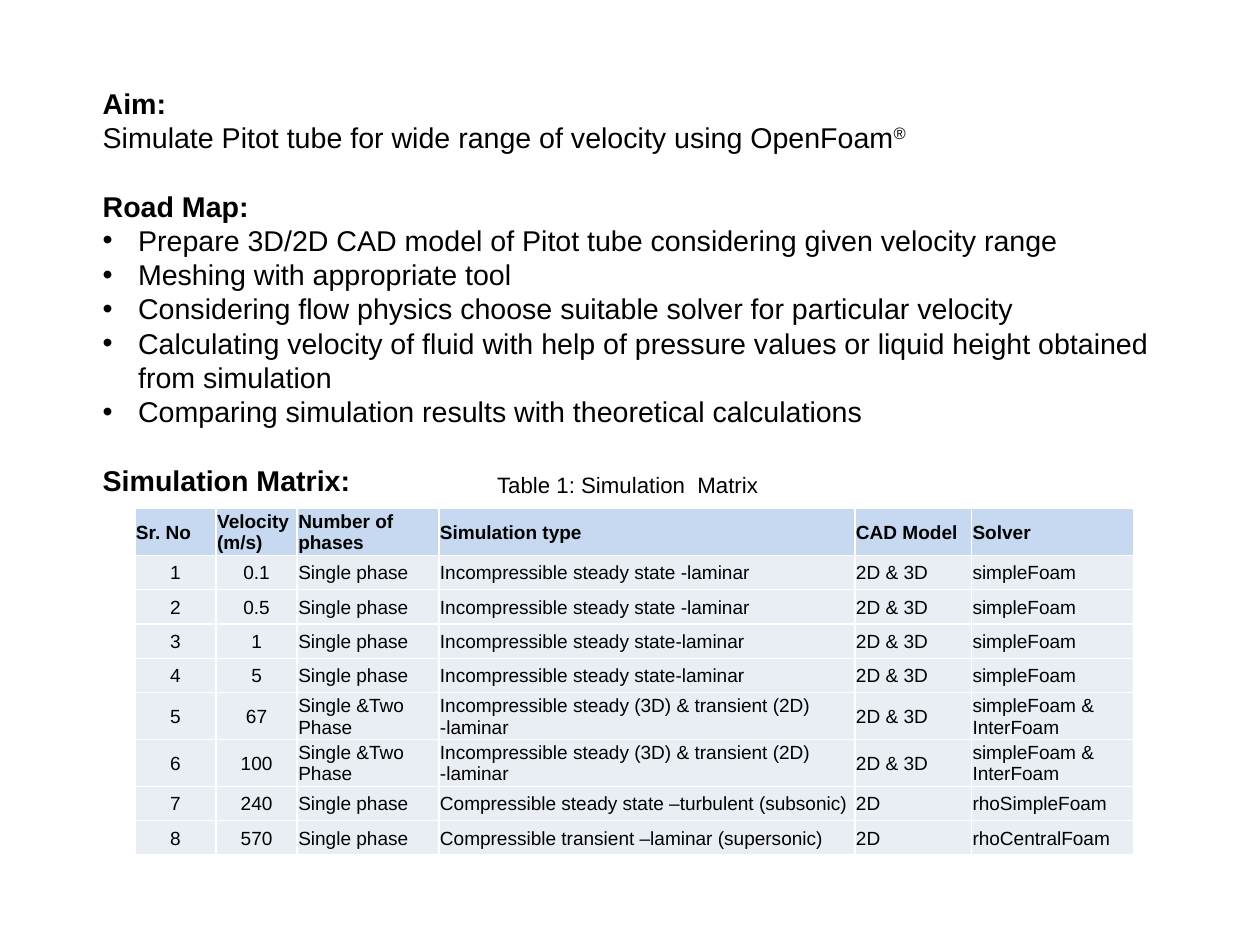
from lxml import etree
from pptx import Presentation
from pptx import oxml
from pptx import util as u
from pptx.dml.color import RGBColor
from pptx.enum import text

BLACK = RGBColor(0x00, 0x00, 0x00)
WHITE = RGBColor(0xFF, 0xFF, 0xFF)
HEADER_BLUE = RGBColor(0xC6, 0xD9, 0xF1)
BODY_GRAY = RGBColor(0xE9, 0xED, 0xF4)

LINE_HEIGHT = u.Pt(21.6)
BULLET_INDENT = u.Inches(0.31)

STEPS = [
    "Prepare 3D/2D CAD model of Pitot tube considering given velocity range",
    "Meshing with appropriate tool",
    "Considering flow physics choose suitable solver for particular velocity",
    "Calculating velocity of fluid with help of pressure values or liquid height obtained from simulation",
    "Comparing simulation results with theoretical calculations",
]

HEADERS = ["Sr. No", "Velocity\n(m/s)", "Number of phases", "Simulation type", "CAD Model", "Solver"]
SINGLE, MIXED = "Single phase", "Single &Two Phase"
BOTH = "2D & 3D"
SPACED_LAMINAR = "Incompressible steady state -laminar"
LAMINAR = "Incompressible steady state-laminar"
TRANSIENT = "Incompressible steady (3D) & transient (2D) -laminar"
SIMPLE, COMBINED = "simpleFoam", "simpleFoam & InterFoam"
SIMULATIONS = [
    ("0.1", SINGLE, SPACED_LAMINAR, BOTH, SIMPLE),
    ("0.5", SINGLE, SPACED_LAMINAR, BOTH, SIMPLE),
    ("1", SINGLE, LAMINAR, BOTH, SIMPLE),
    ("5", SINGLE, LAMINAR, BOTH, SIMPLE),
    ("67", MIXED, TRANSIENT, BOTH, COMBINED),
    ("100", MIXED, TRANSIENT, BOTH, COMBINED),
    ("240", SINGLE, "Compressible steady state –turbulent (subsonic)", "2D", "rhoSimpleFoam"),
    ("570", SINGLE, "Compressible transient –laminar (supersonic)", "2D", "rhoCentralFoam"),
]
COLUMN_WIDTHS = [0.71, 0.71, 1.24, 3.64, 1.02, 1.42]
ROW_HEIGHTS = [0.41] + [0.3] * 5 + [0.41] + [0.3] * 2


def apply(target, values):
    for name, value in values.items():
        setattr(target, name, value)


class SlideBuilder:
    font_name = "Arial"
    cell_format = {
        "vertical_anchor": text.MSO_ANCHOR.MIDDLE,
        "margin_left": u.Inches(0.01),
        "margin_right": u.Inches(0.01),
        "margin_top": u.Inches(0.01),
        "margin_bottom": 0,
    }

    def __init__(self, slide):
        self.slide = slide

    def add_run(self, paragraph, wording, size, bold=False):
        run = paragraph.add_run()
        run.text = wording
        apply(run.font, {"name": self.font_name, "size": u.Pt(size), "bold": bold})
        run.font.color.rgb = BLACK
        return run

    def add_text_box(self, left, top, width, height):
        shape = self.slide.shapes.add_textbox(*map(u.Inches, (left, top, width, height)))
        shape.text_frame.word_wrap = True
        return shape.text_frame

    def add_line(self, frame, wording, bold=False, gap=0):
        paragraph = frame.paragraphs[0]
        if paragraph.runs:
            paragraph = frame.add_paragraph()
        apply(paragraph, {"line_spacing": LINE_HEIGHT, "space_before": gap})
        self.add_run(paragraph, wording, 18, bold)
        return paragraph

    def add_bullet(self, frame, wording):
        properties = self.add_line(frame, wording)._p.get_or_add_pPr()
        properties.set("marL", str(BULLET_INDENT))
        properties.set("indent", str(-BULLET_INDENT))
        font = etree.SubElement(properties, oxml.ns.qn("a:buFont"))
        font.set("typeface", self.font_name)
        etree.SubElement(properties, oxml.ns.qn("a:buChar")).set("char", "•")

    def add_borders(self, cell):
        properties = cell._tc.get_or_add_tcPr()
        for side in "LRTB":
            line = etree.SubElement(properties, oxml.ns.qn(f"a:ln{side}"), w=str(u.Pt(1)))
            fill = etree.SubElement(line, oxml.ns.qn("a:solidFill"))
            etree.SubElement(fill, oxml.ns.qn("a:srgbClr"), val=str(WHITE))

    def fill_cell(self, cell, wording, is_header, centred):
        apply(cell, self.cell_format)
        self.add_borders(cell)
        cell.fill.solid()
        cell.fill.fore_color.rgb = HEADER_BLUE if is_header else BODY_GRAY
        frame = cell.text_frame
        for index, line in enumerate(wording.split("\n")):
            paragraph = frame.add_paragraph() if index else frame.paragraphs[0]
            paragraph.alignment = text.PP_ALIGN.CENTER if centred else text.PP_ALIGN.LEFT
            self.add_run(paragraph, line, 12, is_header)

    def add_table(self, left, top, rows):
        size = sum(COLUMN_WIDTHS), sum(ROW_HEIGHTS)
        frame = self.slide.shapes.add_table(
            len(rows), len(COLUMN_WIDTHS), *map(u.Inches, (left, top, *size)))
        table = frame.table
        apply(table, {"first_row": False, "horz_banding": False})
        for column, width in zip(table.columns, COLUMN_WIDTHS):
            column.width = u.Inches(width)
        for row, height in zip(table.rows, ROW_HEIGHTS):
            row.height = u.Inches(height)
        for row_index, row in enumerate(rows):
            is_header = row_index == 0
            for column_index, wording in enumerate(row):
                centred = not is_header and column_index < 2
                self.fill_cell(table.cell(row_index, column_index), wording, is_header, centred)


def main():
    presentation = Presentation()
    apply(presentation, {"slide_width": u.Cm(28), "slide_height": u.Cm(21)})
    builder = SlideBuilder(presentation.slides.add_slide(presentation.slide_layouts[6]))

    plan = builder.add_text_box(0.8, 0.7, 9.71, 7.1)
    builder.add_line(plan, "Aim:", bold=True)
    aim = builder.add_line(plan, "Simulate Pitot tube for wide range of velocity using OpenFoam")
    mark = builder.add_run(aim, "®", 18)
    mark.font._element.set("baseline", "30000")
    builder.add_line(plan, "Road Map:", bold=True, gap=LINE_HEIGHT)
    for step in STEPS:
        builder.add_bullet(plan, step)
    builder.add_line(plan, "Simulation Matrix:", bold=True, gap=LINE_HEIGHT)

    numbered = [(str(number), *row) for number, row in enumerate(SIMULATIONS, 1)]
    builder.add_table(1.18, 4.45, [HEADERS, *numbered])

    caption = builder.add_text_box(4.25, 4.07, 3.39, 0.34)
    builder.add_run(caption.paragraphs[0], "Table 1: Simulation  Matrix", 14)

    presentation.save("out.pptx")


if __name__ == "__main__":
    main()
